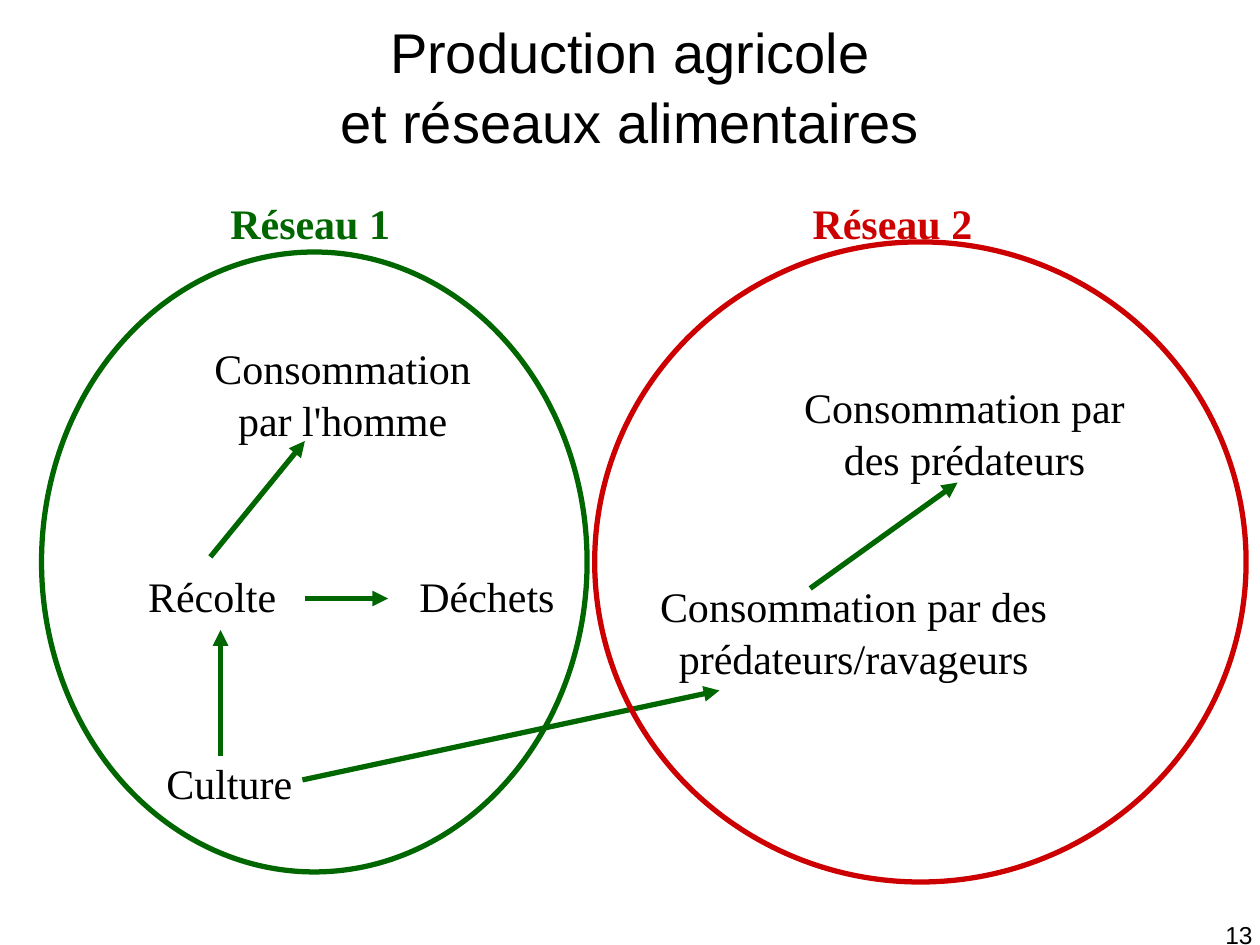
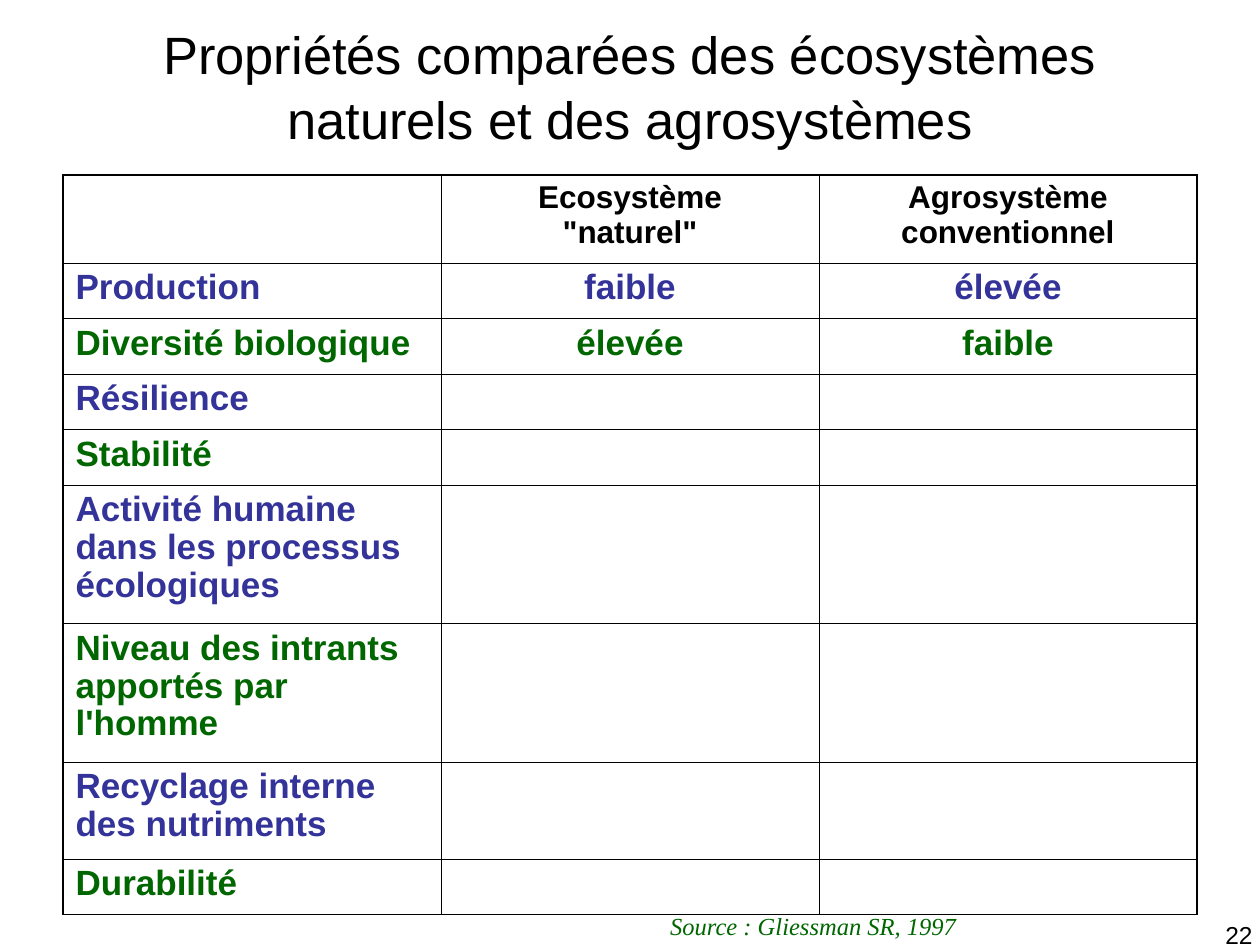
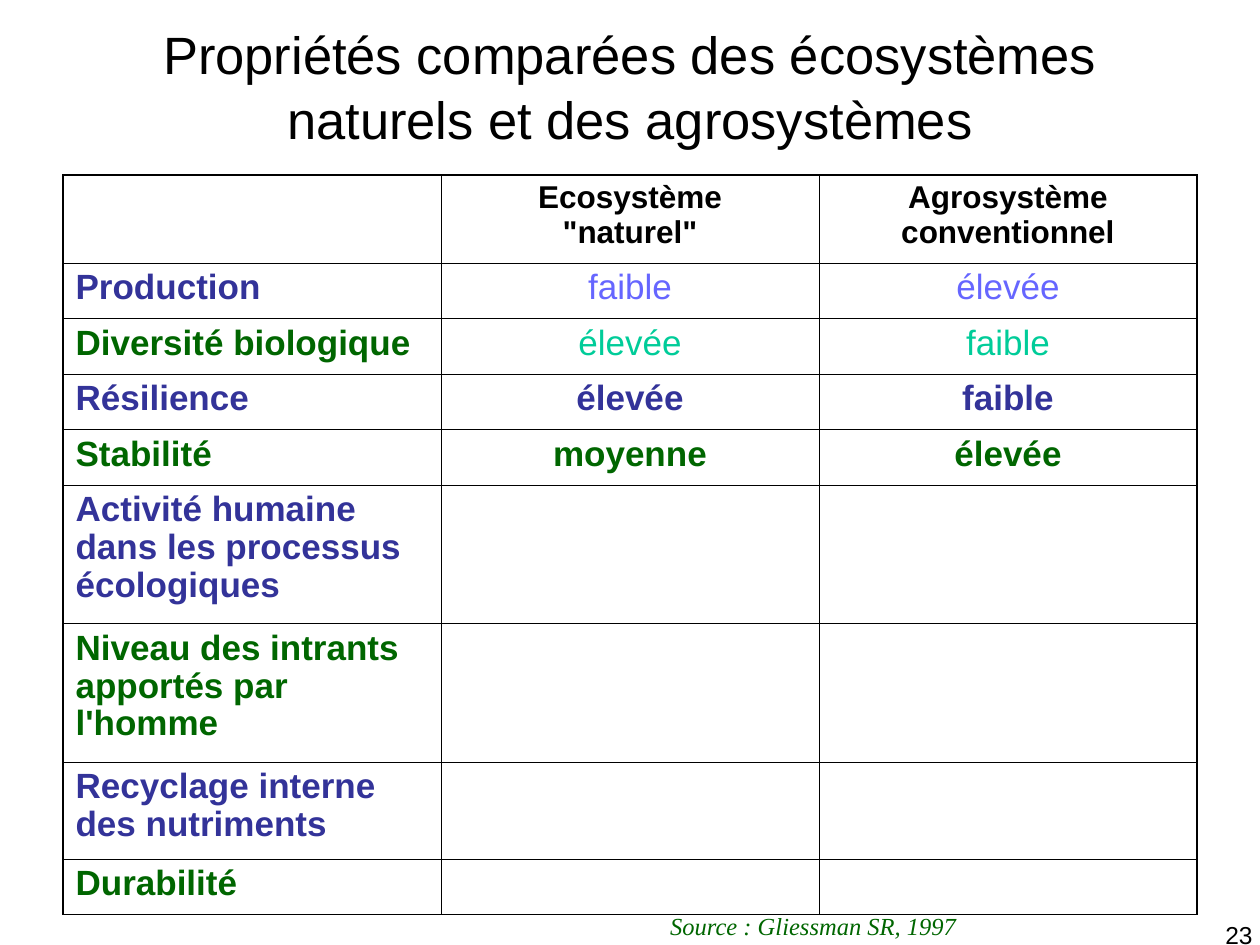
from dataclasses import dataclass

from lxml import etree
from pptx import Presentation
from pptx.dml.color import RGBColor
from pptx.enum.shapes import MSO_CONNECTOR, MSO_SHAPE
from pptx.enum.text import MSO_ANCHOR, PP_ALIGN
from pptx.oxml.ns import qn
from pptx.util import Inches, Pt

LEFT, CENTER, RIGHT = PP_ALIGN.LEFT, PP_ALIGN.CENTER, PP_ALIGN.RIGHT
MIDDLE = MSO_ANCHOR.MIDDLE
STRAIGHT = MSO_CONNECTOR.STRAIGHT
ELLIPSE = MSO_SHAPE.OVAL

SANS, SERIF = "Arial", "Times New Roman"
BLACK, GREEN, RED, BLUE = "000000", "006600", "CC0000", "333399"
PALE_BLUE, PALE_GREEN = "6666FF", "00CC99"
TEXT_SPACING, TABLE_SPACING = 1.04, 0.97
OUTER_BORDER, INNER_BORDER = 1.08, 0.45


@dataclass
class Style:
    size: float
    font: str = SERIF
    color: str = BLACK
    bold: bool = False
    italic: bool = False
    align: PP_ALIGN = CENTER
    spacing: float = TEXT_SPACING


@dataclass
class Label:
    text: str
    left: float
    top: float
    width: float
    height: float
    style: Style


@dataclass
class Arrow:
    start: tuple[float, float]
    end: tuple[float, float]


@dataclass
class Network:
    left: float
    top: float
    width: float
    height: float
    color: str


STEP = Style(24)
NUMBER = Style(14, SANS, align=RIGHT)
HEADER = Style(18, SANS, bold=True, spacing=TABLE_SPACING)
SOURCE = Label("Source : Gliessman SR, 1997", 3.5, 7.17, 5.91, 0.34,
               Style(14, color=GREEN, italic=True))

FOOD_WEB_LABELS = [
    Label("Culture", 1.16, 5.95, 1.32, 0.5, STEP),
    Label("Récolte", 0.97, 4.46, 1.43, 0.5, STEP),
    Label("Consommation par l'homme", 1.46, 2.65, 2.52, 0.9, STEP),
    Label("Déchets", 3.23, 4.46, 1.52, 0.5, Style(24, align=LEFT)),
    Label("Consommation par des prédateurs/ravageurs", 5.08, 4.54, 3.39, 0.9, STEP),
    Label("Consommation par\vdes prédateurs", 5.94, 2.96, 3.43, 0.9, STEP),
    Label("Réseau 1", 1.73, 1.5, 1.54, 0.5, Style(24, color=GREEN, bold=True, align=LEFT)),
    Label("Réseau 2", 6.35, 1.5, 1.58, 0.5, Style(24, color=RED, bold=True, align=LEFT)),
]
FOOD_WEB_ARROWS = [
    Arrow((1.75, 6), (1.75, 5)),
    Arrow((1.67, 4.42), (2.42, 3.5)),
    Arrow((2.42, 4.75), (3.08, 4.75)),
    Arrow((2.4, 6.19), (5.71, 5.48)),
    Arrow((6.43, 4.67), (7.6, 3.83)),
]
NETWORKS = [
    Network(4.72, 1.92, 5.17, 5.08, RED),
    Network(0.33, 2, 4.33, 4.92, GREEN),
]

COMPARISON_TITLE = "Propriétés comparées des écosystèmes naturels et des agrosystèmes"
COLUMN_HEADERS = ["", 'Ecosystème\v"naturel"', "Agrosystème\vconventionnel"]
PROPERTIES = [
    "Production",
    "Diversité biologique",
    "Résilience",
    "Stabilité",
    "Activité humaine dans les processus écologiques",
    "Niveau des intrants apportés par l'homme",
    "Recyclage interne des nutriments",
    "Durabilité",
]
RATINGS = [("faible", "élevée"), ("élevée", "faible"),
           ("élevée", "faible"), ("moyenne", "élevée")]
ROW_HEIGHTS = [0.7, 0.44, 0.44, 0.44, 0.44, 1.1, 1.1, 0.77, 0.44]


def rgb(color: str) -> RGBColor:
    return RGBColor.from_string(color)


def write(frame, text: str, style: Style) -> None:
    paragraph = frame.paragraphs[0]
    paragraph.text = text
    paragraph.alignment = style.align
    paragraph.line_spacing = style.spacing
    for span in paragraph.runs:
        span.font.name = style.font
        span.font.size = Pt(style.size)
        span.font.bold = style.bold
        span.font.italic = style.italic
        span.font.color.rgb = rgb(style.color)


def add_label(slide, label: Label) -> None:
    box = slide.shapes.add_textbox(Inches(label.left), Inches(label.top),
                                   Inches(label.width), Inches(label.height))
    box.text_frame.word_wrap = True
    write(box.text_frame, label.text, label.style)


def add_slide(deck, title: str, title_size: float, number: int):
    """Add a slide with its formatted title and page number."""
    slide = deck.slides.add_slide(deck.slide_layouts.get_by_name("Title Only"))
    heading = slide.shapes.title
    heading.left, heading.top = Inches(0.5), Inches(0.05)
    heading.width, heading.height = Inches(9), Inches(1.25)
    heading.text_frame.vertical_anchor = MIDDLE
    write(heading.text_frame, title, Style(title_size, SANS))
    add_label(slide, Label(str(number), 7.71, 7.24, 2.33, 0.52, NUMBER))
    return slide


def add_arrow(slide, arrow: Arrow) -> None:
    points = [Inches(value) for value in (*arrow.start, *arrow.end)]
    connector = slide.shapes.add_connector(STRAIGHT, *points)
    connector.line.color.rgb = rgb(GREEN)
    connector.line.width = Pt(3)
    etree.SubElement(connector.line._get_or_add_ln(), qn("a:tailEnd"), type="triangle")
    etree.SubElement(connector._element.spPr, qn("a:effectLst"))


def add_network(slide, network: Network) -> None:
    ellipse = slide.shapes.add_shape(ELLIPSE, Inches(network.left), Inches(network.top),
                                     Inches(network.width), Inches(network.height))
    ellipse.shadow.inherit = False
    ellipse.fill.background()
    ellipse.line.color.rgb = rgb(network.color)
    ellipse.line.width = Pt(3)


def set_borders(cell, outer_sides: dict[str, bool]) -> None:
    """Draw the four sides, the ones on the table's edge thicker."""
    properties = cell._tc.get_or_add_tcPr()
    for position, (side, is_outer) in enumerate(outer_sides.items()):
        width = Pt(OUTER_BORDER if is_outer else INNER_BORDER)
        line = etree.Element(qn(f"a:{side}"), w=str(width))
        fill = etree.SubElement(line, qn("a:solidFill"))
        etree.SubElement(fill, qn("a:srgbClr"), val=BLACK)
        properties.insert(position, line)


def cell_style(row: int, column: int, muted_rows: int) -> Style:
    if row == 0:
        return HEADER
    muted = column > 0 and row <= muted_rows
    strong_color, pale_color = (BLUE, PALE_BLUE) if row % 2 else (GREEN, PALE_GREEN)
    return Style(20, SANS, pale_color if muted else strong_color, bold=not muted,
                 align=CENTER if column else LEFT, spacing=TABLE_SPACING)


def add_comparison(slide, rated_rows: int, muted_rows: int) -> None:
    """Fill the ratings of the first rows, paler for those already seen."""
    ratings = RATINGS[:rated_rows]
    ratings += [("", "")] * (len(PROPERTIES) - rated_rows)
    rows = [COLUMN_HEADERS]
    rows += [[name, *pair] for name, pair in zip(PROPERTIES, ratings)]
    last_row, last_column = len(rows) - 1, len(COLUMN_HEADERS) - 1

    table = slide.shapes.add_table(len(rows), len(COLUMN_HEADERS), Inches(0.5), Inches(1.39),
                                   Inches(9), Inches(sum(ROW_HEIGHTS))).table
    table.first_row = table.horz_banding = False
    for column in table.columns:
        column.width = Inches(3)
    for row, (texts, height) in enumerate(zip(rows, ROW_HEIGHTS)):
        table.rows[row].height = Inches(height)
        for column, text in enumerate(texts):
            cell = table.cell(row, column)
            cell.fill.background()
            set_borders(cell, {"lnL": column == 0, "lnR": column == last_column,
                               "lnT": row == 0, "lnB": row == last_row})
            if text:
                write(cell.text_frame, text, cell_style(row, column, muted_rows))


def build_food_webs(deck) -> None:
    slide = add_slide(deck, "Production agricole\vet réseaux alimentaires", 32, 13)
    for arrow in FOOD_WEB_ARROWS:
        add_arrow(slide, arrow)
    for network in NETWORKS:
        add_network(slide, network)
    for label in FOOD_WEB_LABELS:
        add_label(slide, label)


def build_comparison(deck, number: int, rated_rows: int, muted_rows: int) -> None:
    slide = add_slide(deck, COMPARISON_TITLE, 30, number)
    add_comparison(slide, rated_rows, muted_rows)
    add_label(slide, SOURCE)


def main() -> None:
    deck = Presentation()
    deck.slide_width, deck.slide_height = Inches(10), Inches(7.5)
    build_food_webs(deck)
    build_comparison(deck, 22, rated_rows=2, muted_rows=0)
    build_comparison(deck, 23, rated_rows=4, muted_rows=2)
    deck.save("out.pptx")


if __name__ == "__main__":
    main()
